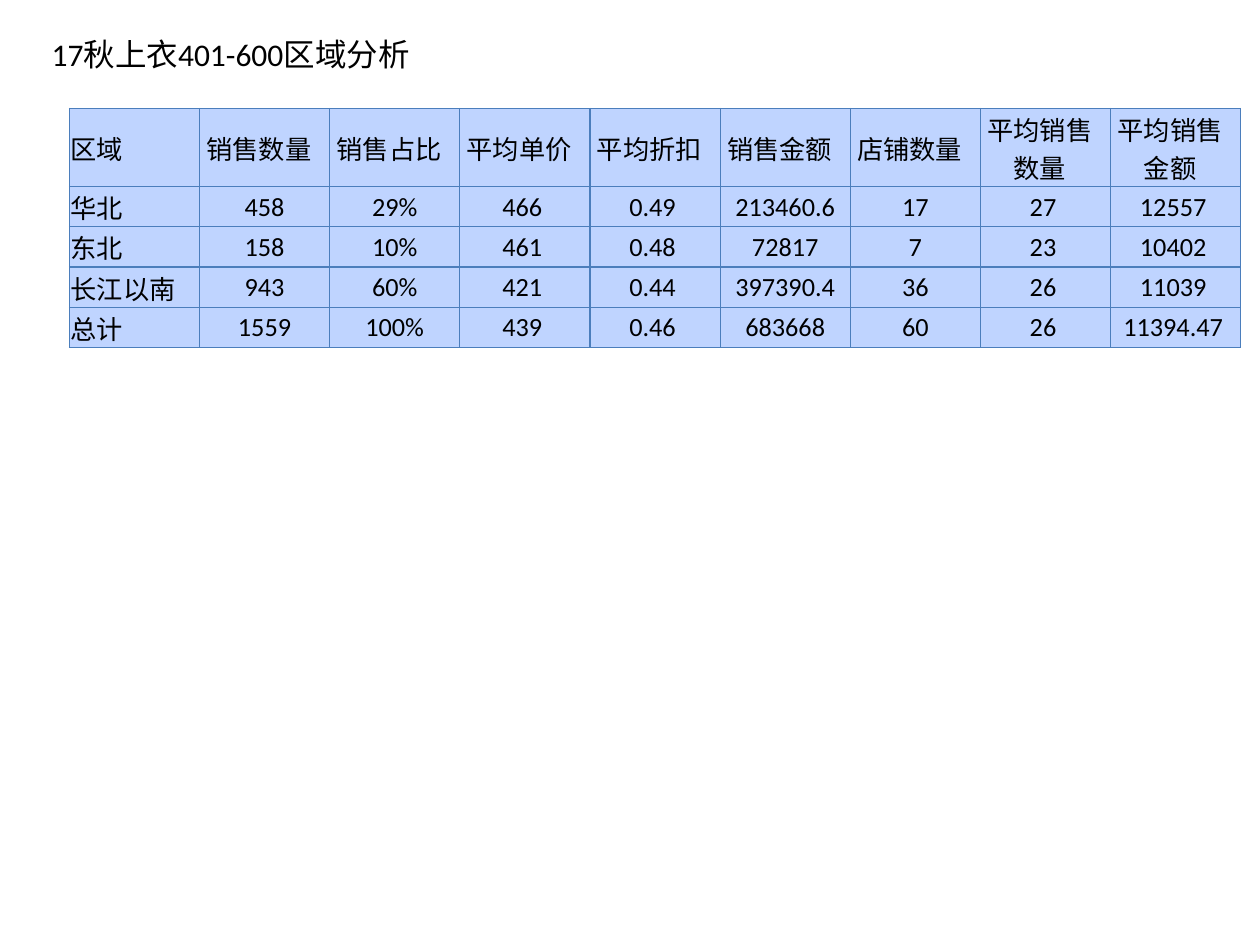
from lxml.etree import SubElement
from pptx import Presentation
from pptx.dml.color import RGBColor
from pptx.enum.text import MSO_ANCHOR as Anchor, MSO_AUTO_SIZE as AutoSize, PP_ALIGN as Align
from pptx.oxml.ns import qn
from pptx.util import Inches, Pt

COLORS = {"text": "000000", "fill": "BFD4FF", "border": "4B7EBC"}
FONT = "Calibri"
HEADERS = ["区域", "销售数量", "销售占比", "平均单价", "平均折扣",
           "销售金额", "店铺数量", "平均销售数量", "平均销售金额"]
REGIONS = [
    ["华北", "458", "29%", "466", "0.49", "213460.6", "17", "27", "12557"],
    ["东北", "158", "10%", "461", "0.48", "72817", "7", "23", "10402"],
    ["长江以南", "943", "60%", "421", "0.44", "397390.4", "36", "26", "11039"],
    ["总计", "1559", "100%", "439", "0.46", "683668", "60", "26", "11394.47"],
]
AVERAGE_COLUMNS = {3, 4, 7, 8}
COLUMN_WIDTH = 9.3 / len(HEADERS)
HEADER_HEIGHT = 0.62
ROW_HEIGHT = 0.32


def add_span(para, text, size):
    span = para.add_run()
    span.text = text
    span.font.name = FONT
    span.font.size = Pt(size)
    span.font.color.rgb = RGBColor.from_string(COLORS["text"])


def add_title(page, text):
    box = page.shapes.title
    box.left, box.top = Inches(0.31), Inches(0.23)
    box.width, box.height = Inches(3.07), Inches(0.4)
    frame = box.text_frame
    frame.word_wrap = True
    frame.auto_size = AutoSize.NONE
    frame.vertical_anchor = Anchor.TOP
    para = frame.paragraphs[0]
    para.alignment = Align.LEFT
    add_span(para, text, 18)


def add_borders(cell):
    properties = cell._tc.get_or_add_tcPr()
    for index, side in enumerate(("lnL", "lnR", "lnT", "lnB")):
        line = properties.makeelement(qn(f"a:{side}"), {"w": str(Pt(0.75))})
        fill = SubElement(line, qn("a:solidFill"))
        SubElement(fill, qn("a:srgbClr"), val=COLORS["border"])
        properties.insert(index, line)


def right_margin(row, column):
    if column == 0:
        return 0.01
    if row == 0:
        return 0.1
    return 0.05 if column in AVERAGE_COLUMNS else 0.01


def fill_cell(cell, text, row, column):
    cell.fill.solid()
    cell.fill.fore_color.rgb = RGBColor.from_string(COLORS["fill"])
    cell.vertical_anchor = Anchor.MIDDLE
    cell.margin_left = cell.margin_top = Inches(0.01)
    cell.margin_right = Inches(right_margin(row, column))
    cell.margin_bottom = 0
    para = cell.text_frame.paragraphs[0]
    para.alignment = Align.CENTER if column else Align.LEFT
    add_span(para, text, 15)
    add_borders(cell)


def add_region_table(page):
    rows = [HEADERS] + REGIONS
    height = HEADER_HEIGHT + ROW_HEIGHT * len(REGIONS)
    table = page.shapes.add_table(len(rows), len(HEADERS), Inches(0.55), Inches(0.86),
                                  Inches(9.3), Inches(height)).table
    for column in table.columns:
        column.width = Inches(COLUMN_WIDTH)
    for row_index, values in enumerate(rows):
        table.rows[row_index].height = Inches(ROW_HEIGHT if row_index else HEADER_HEIGHT)
        for column_index, text in enumerate(values):
            fill_cell(table.cell(row_index, column_index), text, row_index, column_index)
    table.first_row = False
    table.horz_banding = False


def main():
    deck = Presentation()
    deck.slide_width, deck.slide_height = Inches(10), Inches(7.5)
    page = deck.slides.add_slide(deck.slide_layouts[5])
    add_region_table(page)
    add_title(page, "17秋上衣401-600区域分析")
    deck.save("out.pptx")


if __name__ == "__main__":
    main()
